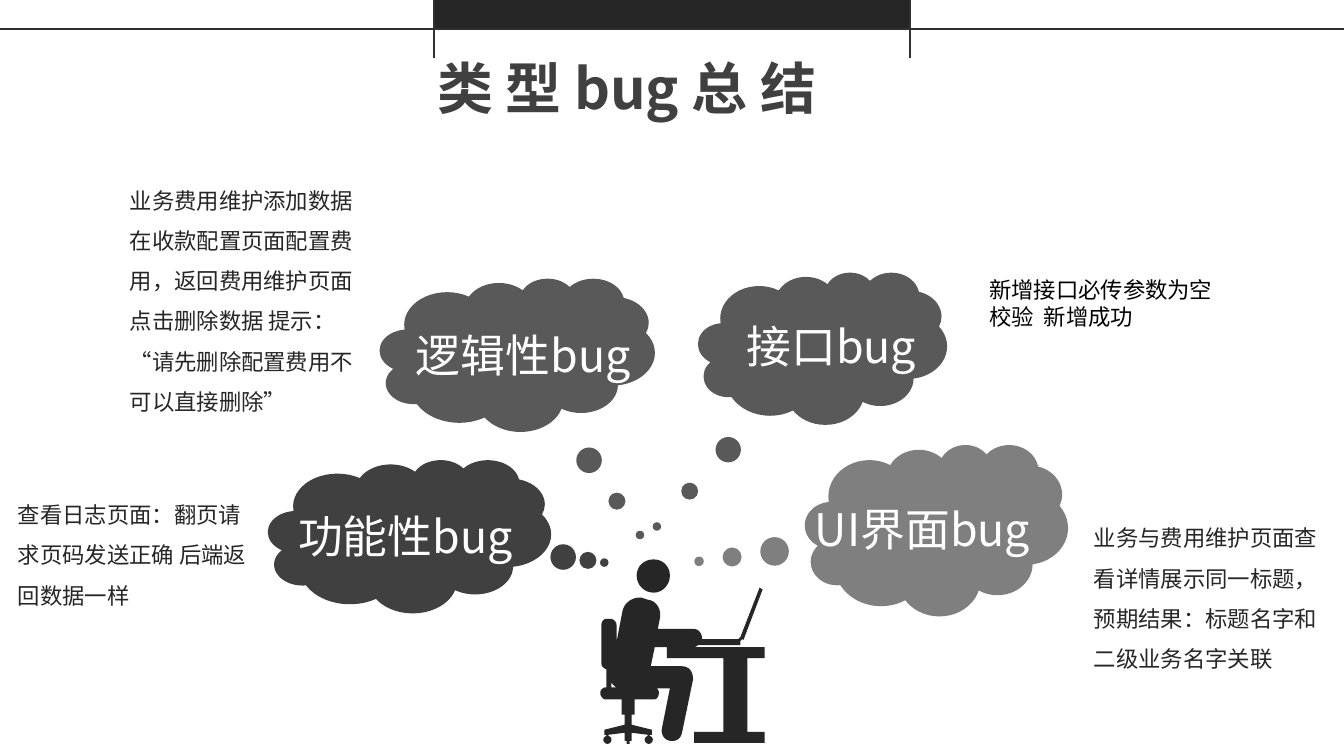
from dataclasses import dataclass

from lxml import etree
from pptx import Presentation
from pptx.dml.color import RGBColor
from pptx.enum.shapes import MSO_CONNECTOR, MSO_SHAPE
from pptx.enum.text import MSO_AUTO_SIZE
from pptx.oxml.ns import qn
from pptx.util import Inches, Pt


@dataclass(frozen=True)
class Theme:
    ink: str = "262626"
    dark: str = "404040"
    mid: str = "595959"
    light: str = "7F7F7F"
    rule: str = "313030"
    white: str = "FFFFFF"
    black: str = "000000"
    cjk: str = "Noto Sans CJK SC"
    latin: str = "Calibri"
    title: int = 40
    label: int = 32
    body: int = 16


def flatten(points, steps=8):
    """Turn corner points and 6-number cubic curves into thousandths of an inch."""
    flat = []
    for point in points:
        if len(point) == 2:
            flat.append(point)
            continue
        controls = [flat[-1], point[:2], point[2:4], point[4:]]
        for i in range(1, steps + 1):
            t = i / steps
            weights = ((1 - t) ** 3, 3 * t * (1 - t) ** 2, 3 * t * t * (1 - t), t ** 3)
            flat.append(tuple(sum(w * c[axis] for w, c in zip(weights, controls))
                              for axis in (0, 1)))
    return [(x * 1000, y * 1000) for x, y in flat]


class SlideBuilder:
    def __init__(self, slide, theme):
        self.s = slide
        self.theme = theme

    def paint(self, sp, color):
        sp.shadow.inherit = False
        sp.fill.solid()
        sp.fill.fore_color.rgb = RGBColor.from_string(color)
        sp.line.fill.background()

    def shape(self, kind, box, color, shapes=None):
        sp = (shapes or self.s.shapes).add_shape(kind, *map(Inches, box))
        self.paint(sp, color)
        return sp

    def line(self, x1, y1, x2, y2):
        cn = self.s.shapes.add_connector(MSO_CONNECTOR.STRAIGHT,
                                         *map(Inches, (x1, y1, x2, y2)))
        cn.line.color.rgb = RGBColor.from_string(self.theme.rule)
        cn.line.width = Pt(1.5)
        etree.SubElement(cn._element.spPr, qn("a:effectLst"))

    def text(self, box, words, size, color, font=None, bold=False, wrap=True,
             spacing=None, shapes=None):
        font = font or self.theme.cjk
        tb = (shapes or self.s.shapes).add_textbox(*map(Inches, box))
        tf = tb.text_frame
        tf.word_wrap = wrap
        tf.auto_size = MSO_AUTO_SIZE.SHAPE_TO_FIT_TEXT
        p = tf.paragraphs[0]
        if spacing:
            p.line_spacing = spacing
        r = p.add_run()
        r.text = words
        r.font.size = Pt(size)
        r.font.bold = bold
        r.font.name = font
        r.font.color.rgb = RGBColor.from_string(color)
        # East Asian typeface follows the Latin one
        latin = r._r.rPr.find(qn("a:latin"))
        ea = etree.Element(qn("a:ea"))
        ea.set("typeface", font)
        latin.addnext(ea)

    def cloud(self, box, tail, color, words, label_box):
        shapes = self.s.shapes.add_group_shape().shapes
        sp = self.shape(MSO_SHAPE.CLOUD_CALLOUT, box, color, shapes)
        sp.adjustments[0], sp.adjustments[1] = tail
        self.text(label_box, words, self.theme.label, self.theme.white,
                  wrap=False, shapes=shapes)

    def silhouette(self, contours, color):
        first, *others = [flatten(c) for c in contours]
        fb = self.s.shapes.build_freeform(*first[0], scale=Inches(1) / 1000)
        fb.add_line_segments(first[1:], close=True)
        for contour in others:
            fb.move_to(*contour[0])
            fb.add_line_segments(contour[1:], close=True)
        self.paint(fb.convert_to_shape(), color)


def wheel(x):
    """Caster hanging below the chair foot, centred on x."""
    return [(x - 0.01, 7.29), (x - 0.01, 7.3),
            (x - 0.03, 7.31, x - 0.04, 7.32, x - 0.04, 7.34),
            (x - 0.04, 7.36, x - 0.02, 7.38, x, 7.38),
            (x + 0.02, 7.38, x + 0.04, 7.36, x + 0.04, 7.34),
            (x + 0.04, 7.32, x + 0.03, 7.31, x + 0.01, 7.3), (x + 0.01, 7.29)]


HEAD = [(6.65, 5.71), (6.65, 5.62, 6.58, 5.55, 6.49, 5.55),
        (6.39, 5.55, 6.32, 5.62, 6.32, 5.71), (6.32, 5.8, 6.39, 5.88, 6.49, 5.88),
        (6.58, 5.88, 6.65, 5.8, 6.65, 5.71)]
SITTER = [
    # Chair seat, stem and foot
    (5.96, 6.87), (5.96, 6.88), (5.96, 6.91, 5.99, 6.94, 6.01, 6.94), (6.17, 6.94),
    (6.17, 7.09), (6.2, 7.09), (6.2, 7.19), (6, 7.24), (6, 7.29), *wheel(6.03),
    (6.2, 7.27), (6.2, 7.35), (6.22, 7.35), (6.22, 7.38), (6.25, 7.38), (6.25, 7.35),
    (6.27, 7.35), (6.27, 7.27), *wheel(6.44), (6.47, 7.29), (6.47, 7.24), (6.27, 7.19),
    (6.27, 7.09), (6.3, 7.09), (6.3, 6.94), (6.49, 6.94),
    (6.52, 6.94, 6.54, 6.91, 6.54, 6.88), (6.54, 6.87),
    (6.54, 6.85, 6.53, 6.84, 6.52, 6.83),
    # Leg
    (6.65, 6.83), (6.57, 7.23), (6.56, 7.28, 6.59, 7.34, 6.65, 7.35),
    (6.71, 7.36, 6.76, 7.33, 6.77, 7.27), (6.88, 6.74),
    (6.88, 6.65, 6.83, 6.61, 6.77, 6.61), (6.46, 6.61),
    # Arm and laptop
    (6.5, 6.42), (6.89, 6.42), (6.9, 6.42, 6.92, 6.41, 6.93, 6.4), (7.35, 6.4),
    (7.35, 6.36), (7.37, 6.34), (7.38, 6.35), (7.57, 5.85), (7.54, 5.83), (7.35, 6.32),
    (7.33, 6.34), (6.97, 6.34), (6.97, 6.28, 6.93, 6.24, 6.89, 6.24), (6.53, 6.24),
    # Shoulders and chair back
    (6.55, 6.14), (6.57, 6.05, 6.52, 5.96, 6.43, 5.95), (6.37, 5.93),
    (6.29, 5.92, 6.2, 5.97, 6.18, 6.06), (6.12, 6.37), (6.12, 6.2),
    (6.12, 6.17, 6.09, 6.14, 6.06, 6.14), (6.02, 6.14),
    (5.99, 6.14, 5.97, 6.17, 5.97, 6.2), (5.97, 6.58),
    (5.97, 6.61, 5.99, 6.63, 6.02, 6.64), (6.02, 6.82), (6.01, 6.82),
    (5.99, 6.82, 5.96, 6.84, 5.96, 6.87)]
SEAT_GAP = [(6.07, 6.77), (6.08, 6.79, 6.1, 6.81, 6.12, 6.82), (6.07, 6.82)]
DESK = [(7.18, 7.26), (6.89, 7.26), (6.89, 7.37), (7.59, 7.37), (7.59, 7.26),
        (7.42, 7.26), (7.42, 6.53), (7.59, 6.53), (7.59, 6.42), (6.62, 6.42),
        (6.62, 6.53), (7.18, 6.53)]


def main():
    prs = Presentation()
    prs.slide_width, prs.slide_height = Inches(13.34), Inches(7.5)
    th = Theme()
    b = SlideBuilder(prs.slides.add_slide(prs.slide_layouts[6]), th)

    # Header band and title
    b.shape(MSO_SHAPE.RECTANGLE, (4.31, 0, 4.72, 0.29), th.ink)
    for x in (4.31, 9.03):
        b.line(x, 0, x, 0.58)
    b.line(0, 0.29, 13.34, 0.29)
    b.text((4.24, 0.48, 4.85, 0.77), "类 型 bug 总 结", th.title, th.dark,
           bold=True, wrap=False)

    # Person at the desk
    b.silhouette([HEAD, SITTER, SEAT_GAP, DESK], th.ink)

    # Thought clouds: box, tail, colour, label, label box
    for cloud in (
        ((3.77, 2.76, 2.73, 1.52), (0.446, 1.176), th.mid, "逻辑性bug", (4.03, 3.2, 2.46, 0.64)),
        ((2.66, 4.56, 2.81, 1.52), (0.688, 0.172), th.dark, "功能性bug", (2.86, 5, 2.46, 0.64)),
        ((6.93, 2.7, 2.47, 1.51), (-0.666, 1.171), th.mid, "接口bug", (7.31, 3.11, 2.02, 0.64)),
        ((7.99, 4.41, 2.61, 1.7), (-0.903, 0.182), th.light, "UI界面bug", (7.99, 4.93, 2.6, 0.64)),
    ):
        b.cloud(*cloud)

    # Example for each type
    for x, y, h, words in (
        (0.08, 4.79, 1.3, "查看日志页面：翻页请求页码发送正确 后端返回数据一样"),
        (1.19, 1.67, 2.5, "业务费用维护添加数据在收款配置页面配置费用，返回费用维护页面"
                          "点击删除数据 提示：“请先删除配置费用不可以直接删除”"),
        (10.76, 5.02, 1.7, "业务与费用维护页面查看详情展示同一标题，"
                           "预期结果：标题名字和二级业务名字关联"),
    ):
        b.text((x, y, 2.58, h), words, th.body, th.ink, spacing=1.5)
    b.text((9.72, 2.69, 2.58, 0.64), "新增接口必传参数为空校验  新增成功", th.body,
           th.black, font=th.latin)

    prs.save("out.pptx")


if __name__ == "__main__":
    main()
